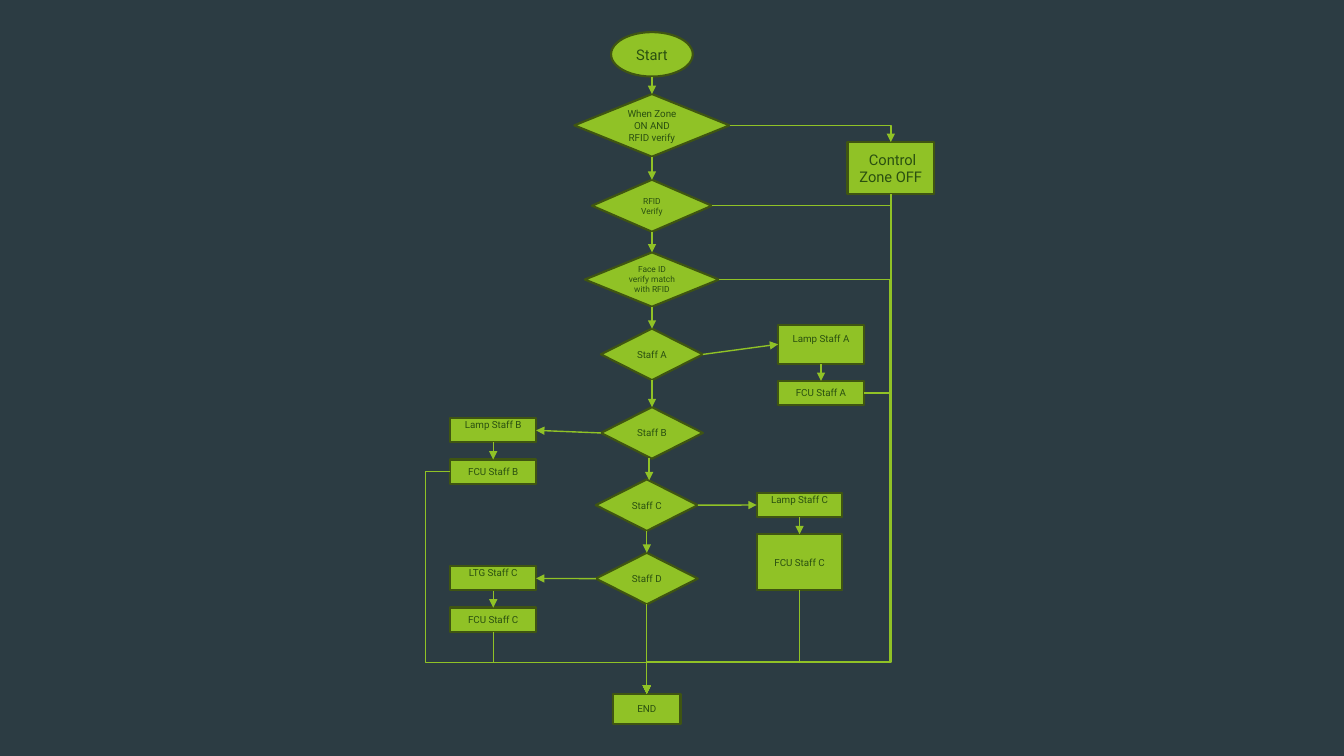
from lxml.etree import SubElement
from pptx import Presentation
from pptx.dml.color import RGBColor
from pptx.enum.shapes import MSO_CONNECTOR, MSO_SHAPE
from pptx.enum.text import MSO_ANCHOR, PP_ALIGN
from pptx.oxml.ns import qn
from pptx.util import Cm, Pt

COLORS = {"background": "2C3C43", "green": "90C226", "outline": "3F5511", "text": "2A5010"}
TOP, LEFT, BOTTOM, RIGHT = range(4)
AXIS, LOWER_AXIS = 16.43, 16.3   # centres of the decision column
LEFT_PAIRS = 12.43               # centre of the boxes on the left
BUS = 16.69                      # height of the line that collects all branches
PAIR_GAP = 0.43


class Flowchart:
    """Holds the style and the current slide."""

    font = "Roboto"

    def __init__(self, slide):
        self.slide = slide
        slide.background.fill.solid()
        slide.background.fill.fore_color.rgb = self.color("background")

    def color(self, name):
        return RGBColor.from_string(COLORS[name])

    def node(self, kind, text, center, top, width, height, size=7, wrap=True, lift=0):
        """A filled shape; lift is extra room below the text."""
        node = self.slide.shapes.add_shape(
            kind, Cm(center - width / 2), Cm(top), Cm(width), Cm(height))
        node.shadow.inherit = False
        node.fill.solid()
        node.fill.fore_color.rgb = self.color("green")
        node.line.color.rgb = self.color("outline")
        node.line.width = Pt(1.5)
        frame = node.text_frame
        frame.word_wrap = wrap
        frame.vertical_anchor = MSO_ANCHOR.MIDDLE
        frame.margin_top, frame.margin_bottom = 0, Cm(lift)
        paragraph = frame.paragraphs[0]
        paragraph.alignment = PP_ALIGN.CENTER
        run = paragraph.add_run()
        run.text = text
        run.font.name = self.font
        run.font.size = Pt(size)
        run.font.color.rgb = self.color("text")
        return node

    def box(self, text, center, top, width, height, **style):
        return self.node(MSO_SHAPE.RECTANGLE, text, center, top, width, height, **style)

    def decision(self, text, center, top, width=2.57, height=1.3, **style):
        return self.node(MSO_SHAPE.FLOWCHART_DECISION, text, center, top, width, height, **style)

    def pair(self, lamp_text, fcu_text, center, top, lamp_height=0.61, fcu_height=0.61):
        """A lamp box with an arrow down to its FCU box."""
        lamp = self.box(lamp_text, center, top, 2.16, lamp_height, lift=0.27)
        fcu = self.box(fcu_text, center, top + lamp_height + PAIR_GAP, 2.16, fcu_height)
        self.arrow(lamp, BOTTOM, fcu, TOP)
        return lamp, fcu

    def connector(self, kind, x1=0, y1=0, x2=0, y2=0):
        link = self.slide.shapes.add_connector(kind, Cm(x1), Cm(y1), Cm(x2), Cm(y2))
        link.line.color.rgb = self.color("green")
        link.line.width = Pt(1)
        SubElement(link.line._get_or_add_ln(), qn("a:tailEnd"), type="triangle")
        SubElement(link.element.spPr, qn("a:effectLst"))
        return link

    def arrow(self, source, source_side, target, target_side, kind=MSO_CONNECTOR.STRAIGHT):
        link = self.connector(kind)
        link.begin_connect(source, source_side)
        link.end_connect(target, target_side)
        return link

    def bend(self, link, preset, *ratios):
        """Set the elbow preset and where its bends lie."""
        geometry = link.element.spPr.find(qn("a:prstGeom"))
        geometry.set("prst", preset)
        for old in list(geometry):
            geometry.remove(old)
        guides = SubElement(geometry, qn("a:avLst"))
        for number, ratio in enumerate(ratios, 1):
            name = "adj" if len(ratios) == 0 else f"adj{number}"
            SubElement(guides, qn("a:gd"), name=name, fmla=f"val {round(ratio * 100000)}")

    def side_route(self, source, side, target, via_x):
        """Out of a side, along via_x, then over the bus into the target."""
        link = self.arrow(source, side, target, TOP, MSO_CONNECTOR.ELBOW)
        self.bend(link, "bentConnector4",
                  (Cm(via_x) - link.begin_x) / (link.end_x - link.begin_x),
                  (Cm(BUS) - link.begin_y) / (link.end_y - link.begin_y))

    def down_route(self, source, target):
        """Out of the bottom, over the bus into the target."""
        link = self.arrow(source, BOTTOM, target, TOP, MSO_CONNECTOR.ELBOW)
        across, down = link.end_x - link.begin_x, link.end_y - link.begin_y
        middle_x, middle_y = link.begin_x + across // 2, link.begin_y + down // 2
        self.bend(link, "bentConnector3", (Cm(BUS) - link.begin_y) / down)
        link.width, link.height = down, abs(across)
        link.left, link.top = middle_x - down // 2, middle_y - abs(across) // 2
        frame = link.element.spPr.find(qn("a:xfrm"))
        frame.set("rot", "16200000" if across > 0 else "5400000")
        frame.set("flipH", "1" if across > 0 else "0")


def main():
    deck = Presentation()
    deck.slide_width, deck.slide_height = Cm(33.87), Cm(19.05)
    chart = Flowchart(deck.slides.add_slide(deck.slide_layouts[6]))

    # Main column
    start = chart.node(MSO_SHAPE.OVAL, "Start", AXIS, 0.81, 2.06, 1.12, size=10.5)
    zone = chart.decision("When Zone ON AND RFID verify", AXIS, 2.37, 3.91, 1.58)
    rfid = chart.decision("RFID Verify", AXIS, 4.53, 3.02, 1.31, size=6)
    face = chart.decision("Face ID verify match with RFID", AXIS, 6.36, 3.38, 1.37, size=6)
    staff_a = chart.decision("Staff A", AXIS, 8.28, wrap=False)
    staff_b = chart.decision("Staff B", AXIS, 10.26, wrap=False)
    staff_c = chart.decision("Staff C", LOWER_AXIS, 12.08, wrap=False)
    staff_d = chart.decision("Staff D", LOWER_AXIS, 13.93, wrap=False)
    end = chart.box("END", LOWER_AXIS, 17.48, 1.7, 0.76)
    control = chart.box(" Control Zone OFF", 22.45, 3.58, 2.18, 1.32, size=10.5)

    # Arrows down the column
    steps = [start, zone, rfid, face, staff_a, staff_b]
    lower_steps = [staff_c, staff_d, end]
    for column in (steps, lower_steps):
        for upper, lower in zip(column, column[1:]):
            chart.arrow(upper, BOTTOM, lower, TOP)
    chart.connector(MSO_CONNECTOR.STRAIGHT, 16.36, 11.54, 16.36, 12.1)

    # Lamp and FCU boxes of each staff member
    lamp_a, fcu_a = chart.pair("Lamp Staff A", "FCU Staff A", 20.69, 8.18, lamp_height=0.99)
    lamp_b, fcu_b = chart.pair("Lamp Staff B", "FCU Staff B", LEFT_PAIRS, 10.54)
    lamp_c, fcu_c = chart.pair("Lamp Staff C", "FCU Staff C", 20.15, 12.42, fcu_height=1.42)
    lamp_d, fcu_d = chart.pair("LTG Staff C", "FCU Staff C", LEFT_PAIRS, 14.27)
    chart.arrow(staff_a, RIGHT, lamp_a, LEFT)
    chart.arrow(staff_b, LEFT, lamp_b, RIGHT)
    chart.arrow(staff_c, RIGHT, lamp_c, LEFT)
    chart.arrow(staff_d, LEFT, lamp_d, RIGHT)

    # Branches that run to the end
    to_control = chart.arrow(zone, RIGHT, control, TOP, MSO_CONNECTOR.ELBOW)
    chart.bend(to_control, "bentConnector2")
    for source, side, via_x in ((rfid, RIGHT, 22.45), (face, RIGHT, 22.43),
                                (fcu_a, RIGHT, 22.43), (fcu_b, LEFT, 10.72)):
        chart.side_route(source, side, end, via_x)
    for source in (control, fcu_c, fcu_d):
        chart.down_route(source, end)

    deck.save("out.pptx")


if __name__ == "__main__":
    main()
